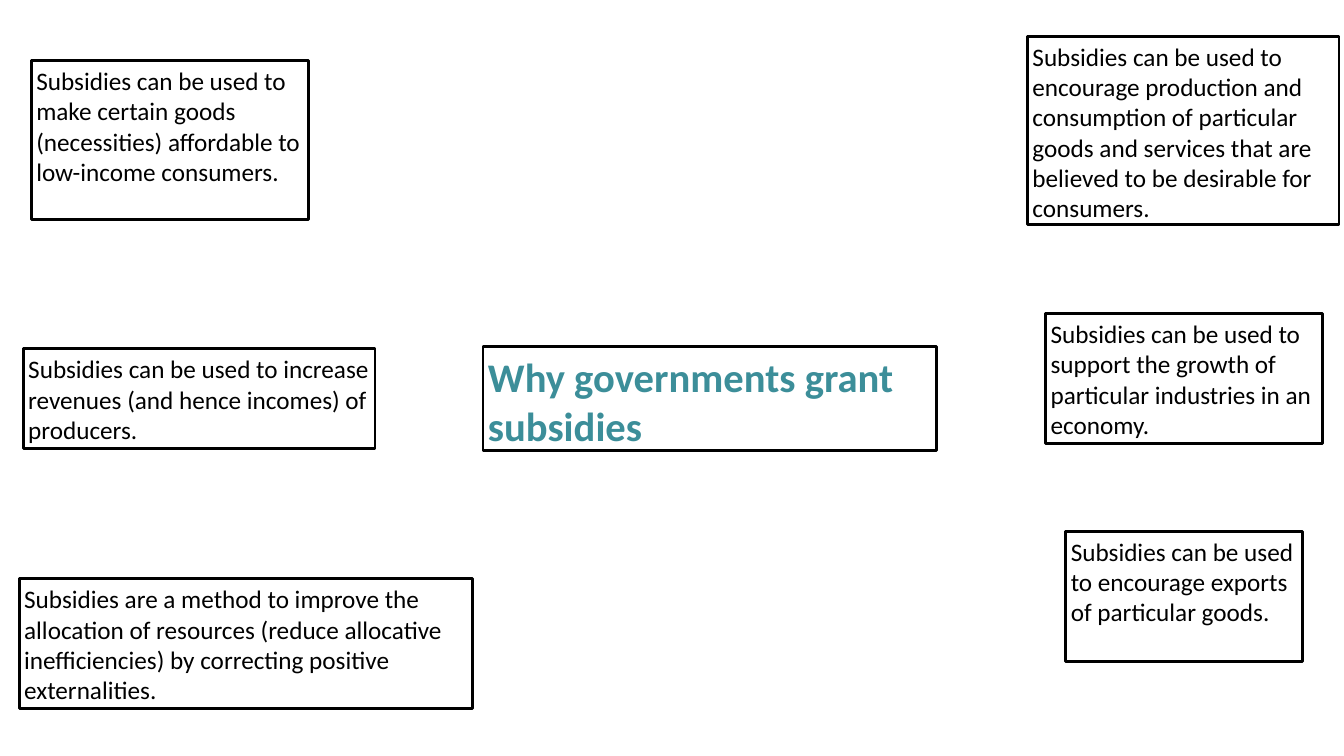
import pptx
import pptx.util
import pptx.dml.color
import pptx.enum.shapes
import pptx.enum.text

PX = 9144  # 100 px to the inch
BLACK = pptx.dml.color.RGBColor(0x00, 0x00, 0x00)
TEAL = pptx.dml.color.RGBColor(0x3C, 0x8E, 0x99)

deck = pptx.Presentation()
deck.slide_width = 1333 * PX
deck.slide_height = 750 * PX
page = deck.slides.add_slide(deck.slide_layouts[6])


def add_framed_text(left, top, width, height, text, size, color, bold=False):
    box = page.shapes.add_shape(
        pptx.enum.shapes.MSO_SHAPE.RECTANGLE,
        left * PX, top * PX, width * PX, height * PX)
    box.shadow.inherit = False
    box.fill.background()
    box.line.color.rgb = BLACK
    box.line.width = pptx.util.Pt(2)

    frame = box.text_frame
    frame.word_wrap = True
    frame.vertical_anchor = pptx.enum.text.MSO_ANCHOR.TOP
    frame.margin_left = frame.margin_right = 5 * PX
    frame.margin_top = frame.margin_bottom = 5 * PX

    para = frame.paragraphs[0]
    para.text = text
    para.alignment = pptx.enum.text.PP_ALIGN.LEFT
    para.font.name = "Calibri"
    para.font.size = pptx.util.Pt(size)
    para.font.bold = bold
    para.font.color.rgb = color


# Reasons around the topic: left, top, width, height, text
reasons = [
    (23, 346, 349, 99, "Subsidies can be used to increase revenues (and hence "
                       "incomes) of producers."),
    (31, 60, 275, 158, "Subsidies can be used to make certain goods "
                       "(necessities) affordable to low-income consumers."),
    (1019, 36, 309, 187, "Subsidies can be used to encourage production and "
                         "consumption of particular goods and services that "
                         "are believed to be desirable for consumers."),
    (1037, 311, 275, 129, "Subsidies can be used to support the growth of "
                          "particular industries in an economy."),
    (1057, 527, 235, 129, "Subsidies can be used to encourage exports of "
                          "particular goods."),
    (19, 574, 450, 129, "Subsidies are a method to improve the allocation of "
                        "resources (reduce allocative inefficiencies) by "
                        "correcting positive externalities."),
]
for left, top, width, height, text in reasons:
    add_framed_text(left, top, width, height, text, 18, BLACK)

# Central topic
add_framed_text(479, 344, 450, 103, "Why governments grant subsidies",
                29, TEAL, bold=True)

deck.save("out.pptx")
